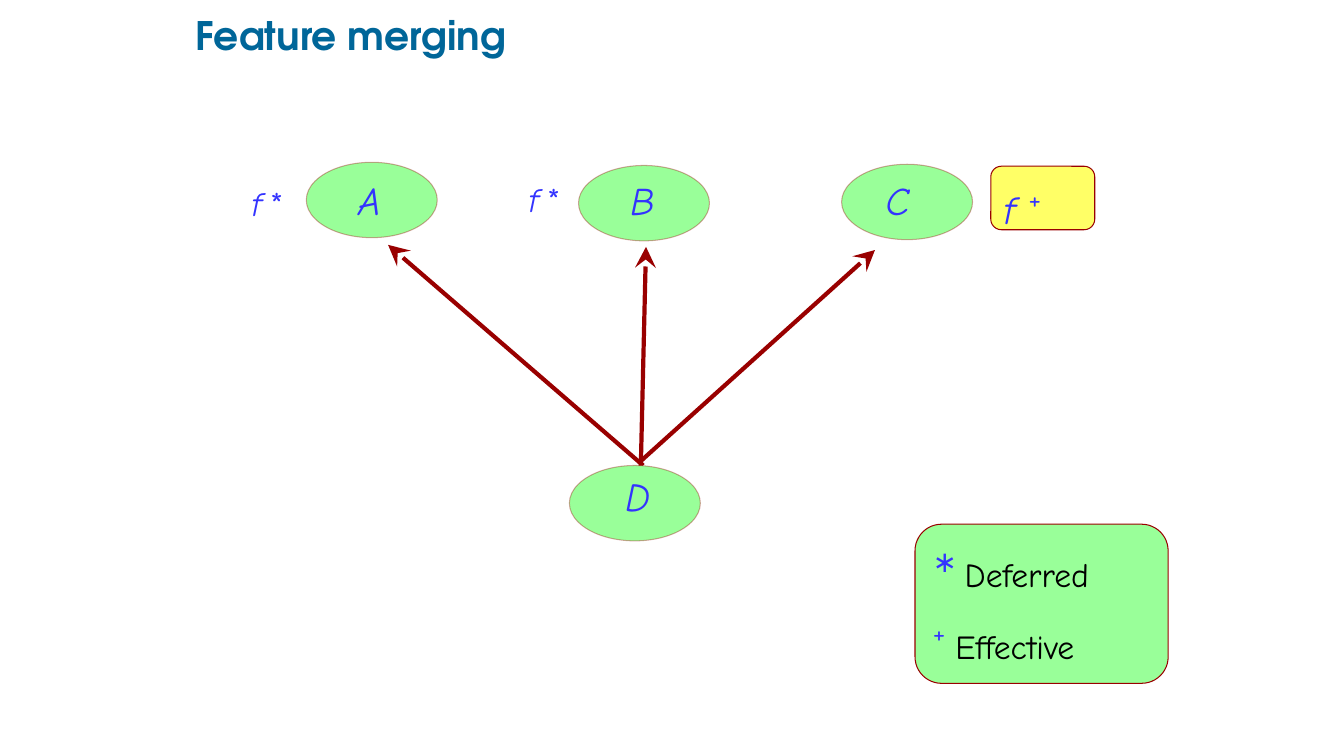
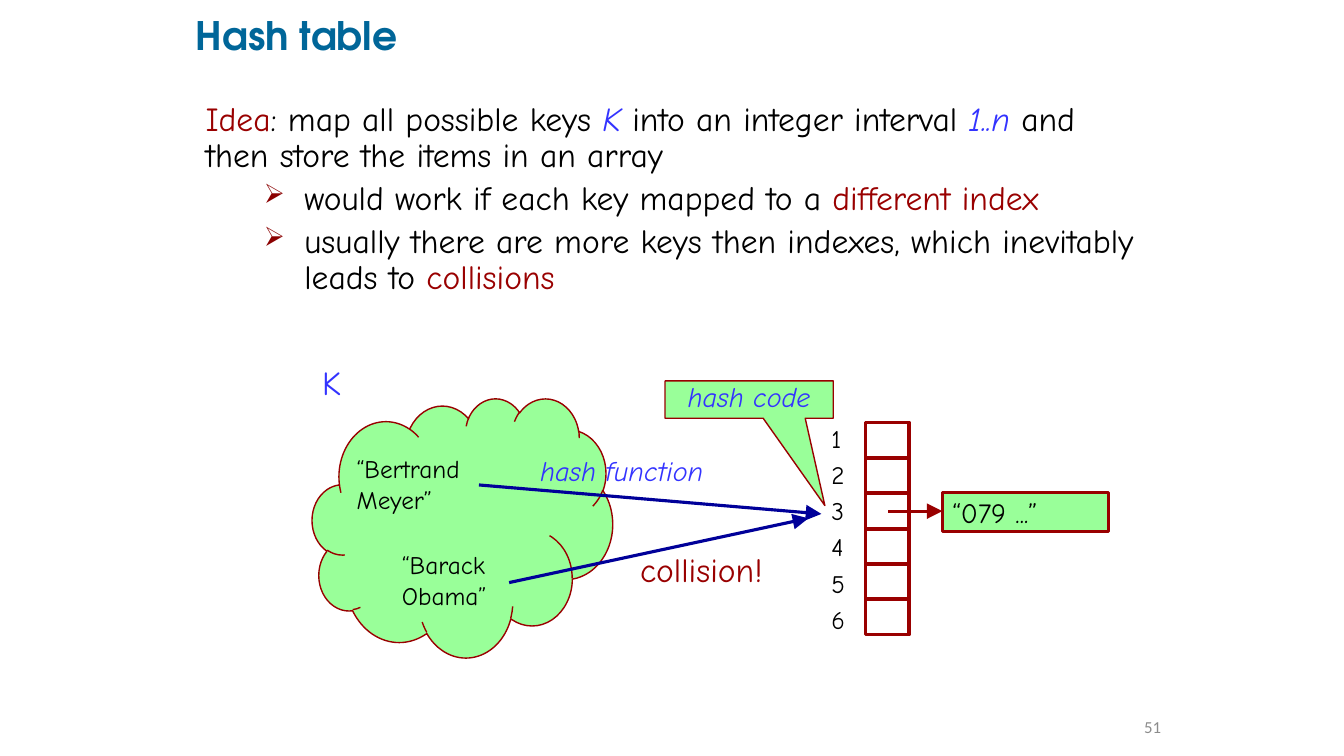
from dataclasses import dataclass

from lxml import etree
from pptx import Presentation
from pptx.dml.color import RGBColor
from pptx.enum.shapes import MSO_CONNECTOR, MSO_SHAPE
from pptx.enum.text import MSO_ANCHOR, PP_ALIGN
from pptx.oxml.ns import qn
from pptx.util import Cm, Pt

STRAIGHT = MSO_CONNECTOR.STRAIGHT
ELLIPSE = MSO_SHAPE.OVAL
ROUNDED = MSO_SHAPE.ROUNDED_RECTANGLE
PROCESS = MSO_SHAPE.FLOWCHART_PROCESS
CLOUD = MSO_SHAPE.CLOUD
CALLOUT = MSO_SHAPE.RECTANGULAR_CALLOUT
TOP, MIDDLE = MSO_ANCHOR.TOP, MSO_ANCHOR.MIDDLE
LEFT, CENTER, RIGHT = PP_ALIGN.LEFT, PP_ALIGN.CENTER, PP_ALIGN.RIGHT

COLORS = {
    "title": "006699",
    "text": "000000",
    "symbol": "3333FF",
    "accent": "990000",
    "bullet": "8B0000",
    "mapping": "000099",
    "green": "99FF99",
    "yellow": "FFFF66",
    "number": "8C8C8C",
}
TITLE_FONT, BODY_FONT = "TeX Gyre Adventor", "Comic Neue"
STAR_FONT, NUMBER_FONT = "Lato", "Calibri"


@dataclass(frozen=True)
class Box:
    """A place on the slide, in centimetres."""
    left: float
    top: float
    width: float
    height: float

    def lengths(self) -> tuple:
        return Cm(self.left), Cm(self.top), Cm(self.width), Cm(self.height)


@dataclass(frozen=True)
class ClassNode:
    letter: str
    ellipse: tuple
    label: tuple


@dataclass(frozen=True)
class Arrow:
    start: tuple
    end: tuple
    color: str = "accent"
    width: float = 2.25
    head: str = "triangle"


@dataclass(frozen=True)
class Label:
    text: str
    box: Box
    size: float = 18
    color: str = "text"
    italic: bool = False


CLASS_NODES = [
    ClassNode("A", (7.72, 4.09), (8.51, 4.32)),
    ClassNode("B", (14.58, 4.17), (15.39, 4.32)),
    ClassNode("C", (21.21, 4.14), (21.82, 4.32)),
    ClassNode("D", (14.35, 11.73), (15.27, 11.76)),
]
INHERITANCE = [
    Arrow((16.15, 11.76), (16.28, 6.22), width=3, head="stealth"),
    Arrow((16.21, 11.73), (9.78, 6.17), width=3, head="stealth"),
    Arrow((16.08, 11.68), (22.05, 6.3), width=3, head="stealth"),
]
KEY_LABELS = [
    Label("K", Box(7.87, 8.99, 0.86, 1.27), 24, "symbol"),
    Label("“Bertrand Meyer”", Box(8.74, 11.3, 3.78, 1.8)),
    Label("“Barack Obama”", Box(9.88, 13.72, 3.78, 1.8)),
    Label("hash function", Box(13.36, 11.3, 4.98, 1.12), 20, "symbol", True),
    Label("collision!", Box(15.88, 13.69, 4.24, 1.27), 24, "accent"),
]
HASH_ARROWS = [
    Arrow((12.07, 12.22), (20.7, 12.95), "mapping"),
    Arrow((12.83, 14.68), (20.37, 13.06), "mapping"),
    Arrow((22.38, 12.88), (23.75, 12.88)),
]
BULLETS = [
    ("would work if each key mapped to a ", "different index"),
    ("usually there are more keys then indexes, which inevitably leads to ",
     "collisions"),
]


def rgb(name: str) -> RGBColor:
    return RGBColor.from_string(COLORS[name])


def write(paragraph, text: str, *, size: float = 24, color: str = "text",
          font: str = BODY_FONT, bold: bool = False, italic: bool = False,
          raised: bool = False) -> None:
    """Add one formatted run to a paragraph."""
    run = paragraph.add_run()
    run.text = text
    run.font.size = Pt(size)
    run.font.name = font
    run.font.bold = bold
    run.font.italic = italic
    run.font.color.rgb = rgb(color)
    if raised:
        run.font._element.set("baseline", "30000")


def prepare_frame(shape, *, anchor=TOP, align=LEFT, inset: tuple = (0.25, 0.13)):
    """Set up the text frame and return its first paragraph."""
    frame = shape.text_frame
    frame.word_wrap = True
    frame.vertical_anchor = anchor
    frame.margin_left = frame.margin_right = Cm(inset[0])
    frame.margin_top = frame.margin_bottom = Cm(inset[1])
    paragraph = frame.paragraphs[0]
    paragraph.alignment = align
    return paragraph


def add_text_box(slide, box: Box, **frame_format):
    return prepare_frame(slide.shapes.add_textbox(*box.lengths()), **frame_format)


def add_label(slide, label: Label) -> None:
    write(add_text_box(slide, label.box), label.text, size=label.size,
          color=label.color, italic=label.italic)


def add_outlined_shape(slide, kind, box: Box, *, fill: str = "",
                       width: float = 0.75, opacity: int = 100):
    shape = slide.shapes.add_shape(kind, *box.lengths())
    shape.shadow.inherit = False
    if fill:
        shape.fill.solid()
        shape.fill.fore_color.rgb = rgb(fill)
    else:
        shape.fill.background()
    shape.line.color.rgb = rgb("accent")
    shape.line.width = Pt(width)
    if opacity < 100:
        color = shape.line._ln.find(".//" + qn("a:srgbClr"))
        etree.SubElement(color, qn("a:alpha"), val=str(opacity * 1000))
    return shape


def add_arrow(slide, arrow: Arrow) -> None:
    ends = [Cm(value) for value in (*arrow.start, *arrow.end)]
    connector = slide.shapes.add_connector(STRAIGHT, *ends)
    connector.line.color.rgb = rgb(arrow.color)
    connector.line.width = Pt(arrow.width)
    etree.SubElement(connector.line._ln, qn("a:tailEnd"),
                     type=arrow.head, w="lg", len="lg")
    etree.SubElement(connector._element.spPr, qn("a:effectLst"))


def add_bullet(paragraph) -> None:
    properties = paragraph._p.get_or_add_pPr()
    properties.set("marL", str(Cm(2.49)))
    properties.set("indent", str(Cm(-1.02)))
    color = etree.SubElement(properties, qn("a:buClr"))
    etree.SubElement(color, qn("a:srgbClr"), val=COLORS["bullet"])
    etree.SubElement(properties, qn("a:buSzPct"), val="80000")
    etree.SubElement(properties, qn("a:buChar"), char="➢")


def add_titled_slide(presentation, title: str):
    slide = presentation.slides.add_slide(presentation.slide_layouts[6])
    paragraph = add_text_box(slide, Box(4.93, 0.33, 22.07, 1.22),
                             anchor=MIDDLE, inset=(0, 0))
    paragraph.line_spacing = 0.9
    write(paragraph, title, size=28, color="title", font=TITLE_FONT, bold=True)
    return slide


def build_feature_merging(presentation) -> None:
    slide = add_titled_slide(presentation, "Feature merging")

    # Inheritance graph
    for arrow in INHERITANCE:
        add_arrow(slide, arrow)
    for node in CLASS_NODES:
        add_outlined_shape(slide, ELLIPSE, Box(*node.ellipse, 3.3, 1.9),
                           fill="green", opacity=34)
        paragraph = add_text_box(slide, Box(*node.label, 1.6, 1.45), align=CENTER)
        write(paragraph, node.letter, size=28, color="symbol", italic=True)

    # Deferred features, then the effective one
    for left, top in ((6.1, 4.47), (13.08, 4.37)):
        paragraph = add_text_box(slide, Box(left, top, 1.75, 1.27))
        write(paragraph, "f", color="symbol", italic=True)
        write(paragraph, " ", size=18, color="symbol", italic=True)
        write(paragraph, "*", color="symbol")
    effective = add_outlined_shape(slide, ROUNDED, Box(24.97, 4.19, 2.62, 1.6),
                                   fill="yellow")
    paragraph = prepare_frame(effective)
    write(paragraph, "f ", size=28, color="symbol", italic=True)
    write(paragraph, "+", size=36, color="symbol", raised=True)

    # Legend
    legend = add_outlined_shape(slide, ROUNDED, Box(23.06, 13.21, 6.38, 4.01),
                                fill="green")
    paragraph = prepare_frame(legend)
    write(paragraph, "∗ ", size=36, color="symbol", font=STAR_FONT, raised=True)
    write(paragraph, "Deferred")
    paragraph = legend.text_frame.add_paragraph()
    paragraph.alignment = LEFT
    paragraph.line_spacing = 0.75
    paragraph.space_before = Pt(18)
    write(paragraph, "+ ", size=36, color="symbol", raised=True)
    write(paragraph, "Effective")


def build_hash_table(presentation) -> None:
    slide = add_titled_slide(presentation, "Hash table")

    # Explanation
    body = slide.shapes.add_textbox(*Box(4.93, 2.44, 23.88, 5.99).lengths())
    paragraph = prepare_frame(body)
    paragraph.line_spacing = 0.9
    write(paragraph, "Idea", color="accent")
    write(paragraph, ": map all possible keys ")
    write(paragraph, "K", color="symbol", italic=True)
    write(paragraph, " into an integer interval ")
    write(paragraph, "1..n", color="symbol", italic=True)
    write(paragraph, " and then store the items in an array")
    for statement, emphasis in BULLETS:
        paragraph = body.text_frame.add_paragraph()
        add_bullet(paragraph)
        paragraph.line_spacing = 0.9
        paragraph.space_before = Pt(4.8)
        write(paragraph, statement)
        write(paragraph, emphasis, color="accent")

    # Key set and numbered array
    add_outlined_shape(slide, CLOUD, Box(7.87, 10.03, 7.57, 6.53),
                       fill="green", width=1)
    for index in range(6):
        add_outlined_shape(slide, PROCESS,
                           Box(21.82, 10.64 + 0.89 * index, 1.09, 0.91), width=2.25)
        add_label(slide, Label(str(index + 1),
                               Box(20.7, 10.54 + 0.91 * index, 1.07, 1.02)))

    # Mapping from keys to the stored value
    for label in KEY_LABELS:
        add_label(slide, label)
    for arrow in HASH_ARROWS:
        add_arrow(slide, arrow)
    value = add_outlined_shape(slide, PROCESS, Box(23.75, 12.42, 4.19, 0.97),
                               fill="green", width=2.25)
    write(prepare_frame(value, anchor=MIDDLE), "“079 ...”", size=20)
    callout = add_outlined_shape(slide, CALLOUT, Box(16.76, 9.6, 4.24, 0.94),
                                 fill="green", width=1)
    callout.adjustments[0] = 0.45
    callout.adjustments[1] = 2.84
    paragraph = prepare_frame(callout, anchor=MIDDLE, align=CENTER, inset=(0, 0.13))
    paragraph.line_spacing = 0.8
    write(paragraph, "hash code", size=20, color="symbol", italic=True)

    # Slide number
    paragraph = add_text_box(slide, Box(27.99, 17.6, 1.52, 1.45), anchor=MIDDLE,
                             align=RIGHT, inset=(0.25, 0.25))
    write(paragraph, "51", size=12, color="number", font=NUMBER_FONT)


def main() -> None:
    presentation = Presentation()
    presentation.slide_width = Cm(33.87)
    presentation.slide_height = Cm(19.05)
    build_feature_merging(presentation)
    build_hash_table(presentation)
    presentation.save("out.pptx")


if __name__ == "__main__":
    main()
